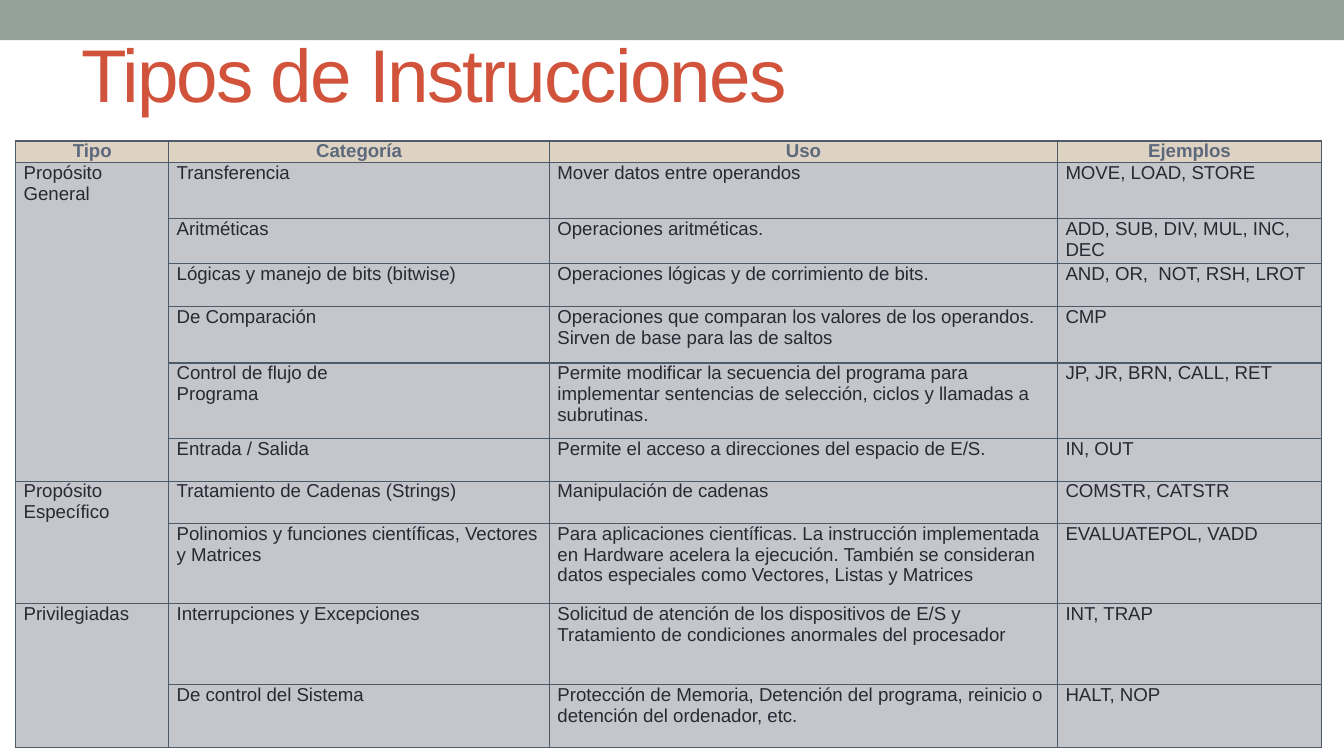
from dataclasses import dataclass

from lxml.etree import SubElement
from pptx import Presentation
from pptx.dml.color import RGBColor
from pptx.enum.shapes import MSO_SHAPE
from pptx.enum.text import MSO_ANCHOR, MSO_AUTO_SIZE, PP_ALIGN
from pptx.oxml.ns import qn
from pptx.slide import Slide
from pptx.table import Table, _Cell
from pptx.text.text import TextFrame
from pptx.util import Pt


@dataclass(frozen=True)
class Theme:
    font: str = "Arial"
    title_size: float = 40
    table_size: float = 10
    bar: str = "93A299"
    title: str = "D2533C"
    header_fill: str = "DED2C2"
    header_text: str = "5C697C"
    body_fill: str = "C4C6CB"
    body_text: str = "292934"
    border: str = "4C5A6A"
    border_width: float = 0.75


@dataclass(frozen=True)
class Instruction:
    category: str
    use: str
    examples: str
    height: float


@dataclass(frozen=True)
class Group:
    kind: str
    instructions: tuple[Instruction, ...]


THEME = Theme()
HEADERS = ("Tipo", "Categoría", "Uso", "Ejemplos")
HEADER_HEIGHT = 11.5
COLUMN_WIDTHS = (82, 204, 272.2, 141.4)
GROUPS = (
    Group("Propósito General", (
        Instruction("Transferencia", "Mover datos entre operandos", "MOVE, LOAD, STORE", 30.3),
        Instruction("Aritméticas", "Operaciones aritméticas.", "ADD, SUB, DIV, MUL, INC, DEC", 23.8),
        Instruction("Lógicas y manejo de bits (bitwise)",
                    "Operaciones lógicas y de corrimiento de bits.",
                    "AND, OR,  NOT, RSH, LROT", 23.3),
        Instruction("De Comparación",
                    "Operaciones que comparan los valores de los operandos. "
                    "Sirven de base para las de saltos", "CMP", 30.2),
        Instruction("Control de flujo de\nPrograma",
                    "Permite modificar la secuencia del programa para implementar "
                    "sentencias de selección, ciclos y llamadas a subrutinas.",
                    "JP, JR, BRN, CALL, RET", 40.3),
        Instruction("Entrada / Salida",
                    "Permite el acceso a direcciones del espacio de E/S.", "IN, OUT", 23),
    )),
    Group("Propósito Específico", (
        Instruction("Tratamiento de Cadenas (Strings)", "Manipulación de cadenas",
                    "COMSTR, CATSTR", 22.7),
        Instruction("Polinomios y funciones científicas, Vectores y Matrices",
                    "Para aplicaciones científicas. La instrucción implementada en Hardware "
                    "acelera la ejecución. También se consideran datos especiales como "
                    "Vectores, Listas y Matrices", "EVALUATEPOL, VADD", 43),
    )),
    Group("Privilegiadas", (
        Instruction("Interrupciones y Excepciones",
                    "Solicitud de atención de los dispositivos de E/S y Tratamiento de "
                    "condiciones anormales del procesador", "INT, TRAP", 43.3),
        Instruction("De control del Sistema",
                    "Protección de Memoria, Detención del programa, reinicio o detención "
                    "del ordenador, etc.", "HALT, NOP", 33.7),
    )),
)


def write_text(frame: TextFrame, text: str, *, size: float, color: str, bold: bool = False,
               align: PP_ALIGN = PP_ALIGN.LEFT, spacing: float = 0) -> None:
    frame.text = text
    for para in frame.paragraphs:
        para.alignment = align
        for span in para.runs:
            span.font.name = THEME.font
            span.font.size = Pt(size)
            span.font.bold = bold
            span.font.color.rgb = RGBColor.from_string(color)
            if spacing:
                span._r.get_or_add_rPr().set("spc", str(round(spacing * 100)))


def draw_bar(page: Slide, width: float, height: float) -> None:
    bar = page.shapes.add_shape(MSO_SHAPE.RECTANGLE, 0, 0, Pt(width), Pt(height))
    bar.shadow.inherit = False
    bar.fill.solid()
    bar.fill.fore_color.rgb = RGBColor.from_string(THEME.bar)
    bar.line.fill.background()
    page.shapes._spTree.insert(2, bar._element)


def draw_title(page: Slide, text: str) -> None:
    box = page.shapes.title
    box.left, box.top, box.width, box.height = Pt(36.5), Pt(10), Pt(648), Pt(57.6)
    frame = box.text_frame
    frame.auto_size = MSO_AUTO_SIZE.NONE
    frame.vertical_anchor = MSO_ANCHOR.MIDDLE
    write_text(frame, text, size=THEME.title_size, color=THEME.title, spacing=-1)


def style_cell(cell: _Cell, fill: str) -> None:
    cell.margin_left = cell.margin_right = Pt(4.3)
    cell.margin_top = cell.margin_bottom = 0
    properties = cell._tc.get_or_add_tcPr()
    for side in ("a:lnL", "a:lnR", "a:lnT", "a:lnB"):
        line = SubElement(properties, qn(side), w=str(Pt(THEME.border_width)))
        solid = SubElement(line, qn("a:solidFill"))
        SubElement(solid, qn("a:srgbClr"), val=THEME.border)
    cell.fill.solid()
    cell.fill.fore_color.rgb = RGBColor.from_string(fill)


def fill_row(table: Table, row: int, texts: tuple[str, ...], *, header: bool = False) -> None:
    for column, text in enumerate(texts):
        cell = table.cell(row, column)
        style_cell(cell, THEME.header_fill if header else THEME.body_fill)
        write_text(cell.text_frame, text, size=THEME.table_size, bold=header,
                   color=THEME.header_text if header else THEME.body_text,
                   align=PP_ALIGN.CENTER if header else PP_ALIGN.LEFT)


def draw_table(page: Slide, left: float, top: float) -> None:
    heights = [HEADER_HEIGHT] + [item.height for group in GROUPS for item in group.instructions]
    table = page.shapes.add_table(len(heights), len(HEADERS), Pt(left), Pt(top),
                                  Pt(sum(COLUMN_WIDTHS)), Pt(sum(heights))).table
    table.first_row = table.horz_banding = False
    for column, width in zip(table.columns, COLUMN_WIDTHS):
        column.width = Pt(width)
    for row, height in zip(table.rows, heights):
        row.height = Pt(height)
    fill_row(table, 0, HEADERS, header=True)
    first = 1
    for group in GROUPS:
        last = first + len(group.instructions) - 1
        for row, item in enumerate(group.instructions, first):
            kind = group.kind if row == first else ""
            fill_row(table, row, (kind, item.category, item.use, item.examples))
        table.cell(first, 0).merge(table.cell(last, 0))
        first = last + 1


def main() -> None:
    deck = Presentation()
    deck.slide_width, deck.slide_height = Pt(720), Pt(405)
    page = deck.slides.add_slide(deck.slide_layouts[5])
    draw_bar(page, 720, 21.5)
    draw_title(page, "Tipos de Instrucciones")
    draw_table(page, 8.4, 75.5)
    deck.save("out.pptx")


if __name__ == "__main__":
    main()
